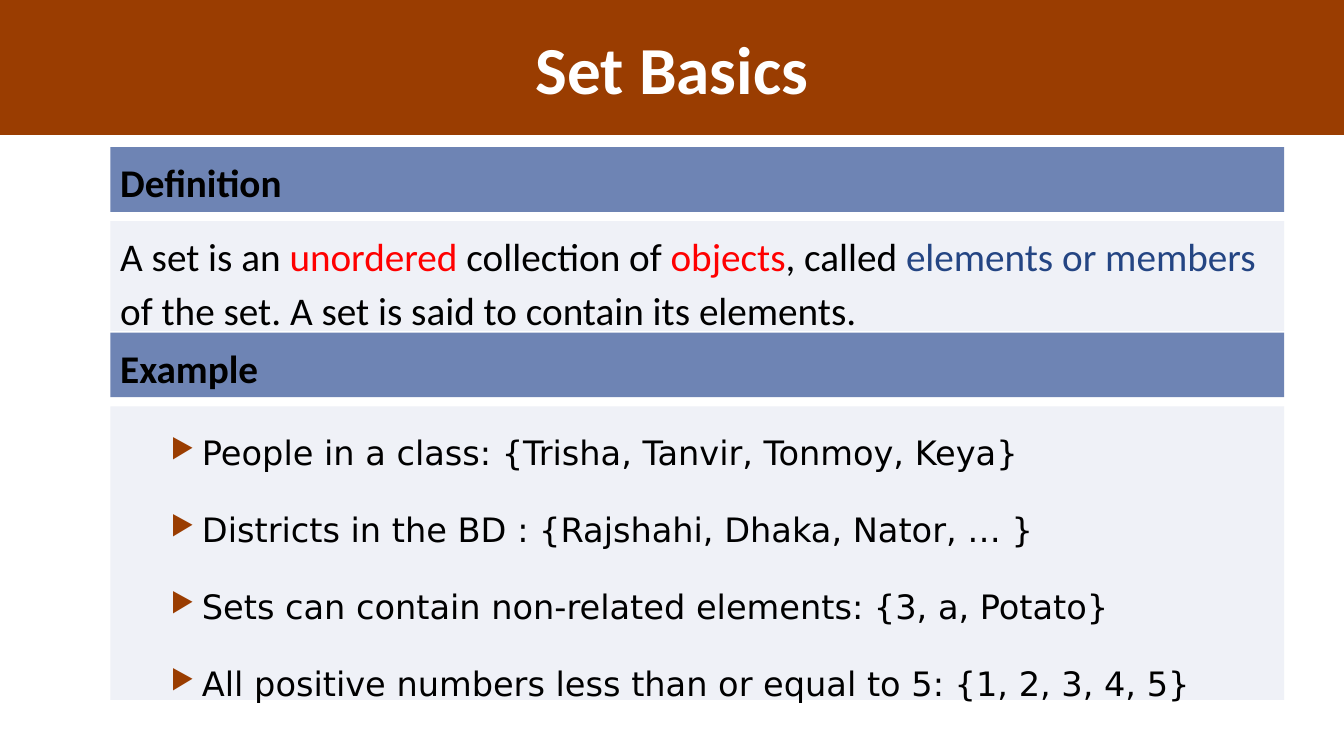
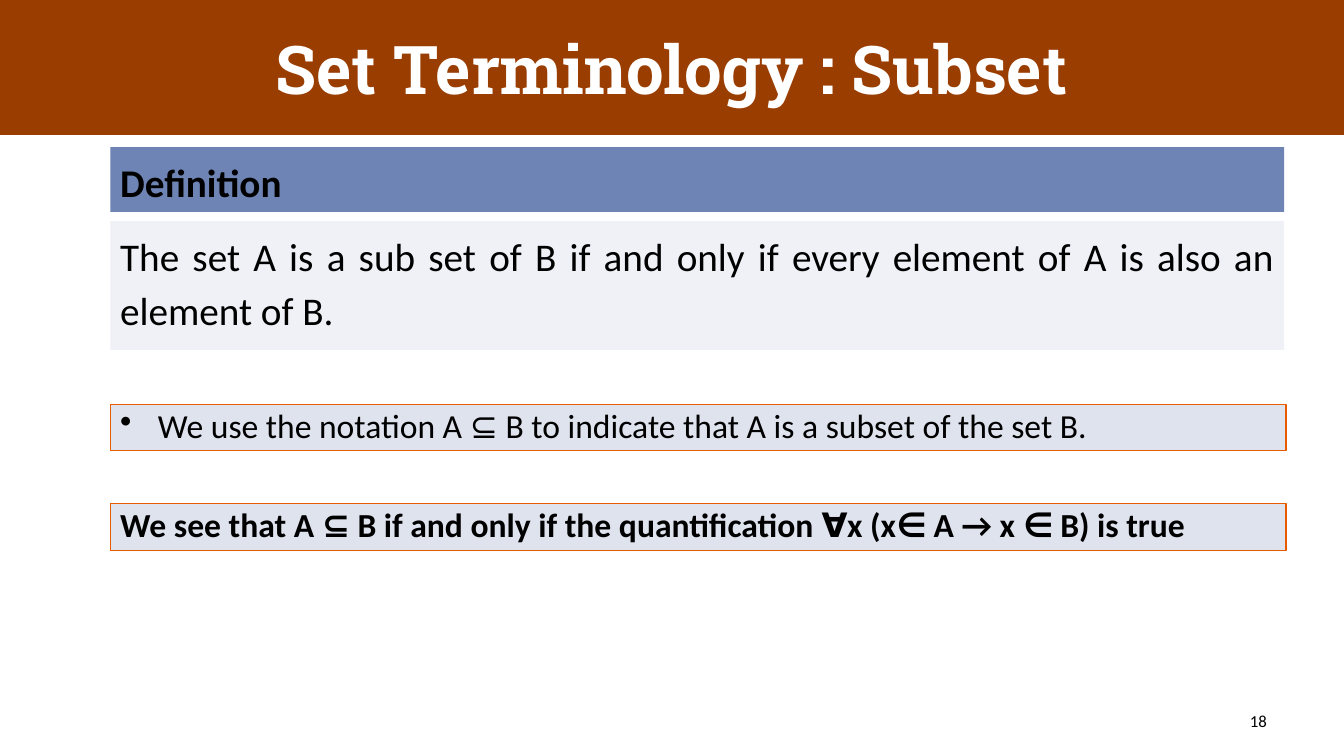
"""Build two slides on set basics and subsets."""
from lxml.etree import SubElement
from pptx import Presentation
from pptx.dml.color import RGBColor
from pptx.enum.shapes import MSO_SHAPE as Shape
from pptx.enum.text import MSO_ANCHOR as Anchor, PP_ALIGN as Align
from pptx.oxml.ns import qn
from pptx.util import Cm, Pt

RUST = RGBColor(0x9A, 0x3D, 0x01)
STEEL = RGBColor(0x6E, 0x84, 0xB4)
PALE = RGBColor(0xEF, 0xF1, 0xF7)
MIST = RGBColor(0xDF, 0xE3, 0xEE)
ORANGE = RGBColor(0xE7, 0x5C, 0x01)
WHITE = RGBColor(0xFF, 0xFF, 0xFF)
BLACK = RGBColor(0, 0, 0)
RED = RGBColor(0xFF, 0, 0)
NAVY = RGBColor(0x24, 0x45, 0x83)

WIDE, HIGH = 33.87, 19.05
LEFT, SPAN = 2.78, 29.58
HEAD, GAP = 1.63, 0.23
TOP = 3.71

MEANING = [
    ("A set is an ", None), ("unordered", RED), (" collection of ", None),
    ("objects", RED), (", called ", None), ("elements or members", NAVY),
    (" of the set. A set is said to contain its elements.", None),
]
SAMPLES = [
    "People in a class: {Trisha, Tanvir, Tonmoy, Keya}",
    "Districts in the BD : {Rajshahi, Dhaka, Nator, … }",
    "Sets can contain non-related elements: {3, a, Potato}",
    "All positive numbers less than or equal to 5: {1, 2, 3, 4, 5}",
]
SUBSET = ("The set A is a sub set of B if and only if every element of A "
          "is also an element of B.")
NOTES = [
    (10.19, "We use the notation A ⊆ B to indicate that A is a subset of the set B.", True),
    (12.7, "We see that A ⊆ B if and only if the quantification ∀x (x∈ A → x ∈ B) is true", False),
]


def add_box(slide, left, top, width, height, fill, line=None):
    """Add a plain rectangle and return its text frame."""
    box = slide.shapes.add_shape(
        Shape.RECTANGLE, Cm(left), Cm(top), Cm(width), Cm(height))
    box.shadow.inherit = False
    box.fill.solid()
    box.fill.fore_color.rgb = fill
    if line is None:
        box.line.fill.background()
    else:
        box.line.color.rgb = line
        box.line.width = Pt(0.75)
    frame = box.text_frame
    frame.word_wrap = True
    frame.vertical_anchor = Anchor.TOP
    return frame


def set_font(para, size, color=BLACK, bold=False, name="Calibri"):
    """Set the font of a whole paragraph."""
    font = para.font
    font.name, font.size, font.bold = name, Pt(size), bold
    font.color.rgb = color


def write(frame, text, size, align=Align.LEFT, space=1.0, **style):
    """Write the first paragraph of a frame."""
    para = frame.paragraphs[0]
    para.text = text
    para.alignment = align
    para.line_spacing = space
    set_font(para, size, **style)
    return para


def add_mark(para, char, indent, color=BLACK, scale=100):
    """Give a paragraph a hanging bullet."""
    props = para._p.get_or_add_pPr()
    props.set("marL", str(Cm(indent[0])))
    props.set("indent", str(-Cm(indent[1])))
    tint = SubElement(props, qn("a:buClr"))
    SubElement(tint, qn("a:srgbClr"), val=str(color))
    SubElement(props, qn("a:buSzPct"), val=str(scale * 1000))
    SubElement(props, qn("a:buChar"), char=char)


def add_page(deck, title, name="Calibri"):
    """Add a blank slide with its title band."""
    slide = deck.slides.add_slide(deck.slide_layouts[6])
    band = add_box(slide, 0, 0, WIDE, 3.4, RUST)
    band.vertical_anchor = Anchor.MIDDLE
    write(band, title, 48, Align.CENTER, color=WHITE, bold=True, name=name)
    return slide


def add_panel(slide, title, top, height):
    """Add a heading bar over a pale panel and return the panel frame."""
    bar = add_box(slide, LEFT, top, SPAN, HEAD, STEEL)
    write(bar, title, 28, space=1.14, bold=True)
    return add_box(slide, LEFT, top + HEAD + GAP, SPAN, height, PALE)


def build_basics(deck):
    """Build the slide on set basics."""
    slide = add_page(deck, "Set Basics")
    para = write(add_panel(slide, "Definition", TOP, 2.77), "", 28, space=1.14)
    for text, color in MEANING:
        run = para.add_run()
        run.text = text
        if color is not None:
            run.font.color.rgb = color
    frame = add_panel(slide, "Example", 8.38, 7.4)
    for i, text in enumerate(SAMPLES):
        para = frame.add_paragraph() if i else frame.paragraphs[0]
        para.text = text
        para.alignment = Align.LEFT
        add_mark(para, "▶", (2.06, 0.79), RUST, 80)
        para.line_spacing = 1.5
        para.space_before = Pt(6 if i else 0)
        para.space_after = Pt(6)
        set_font(para, 24, name="DejaVu Sans")


def build_subset(deck):
    """Build the slide on subsets."""
    slide = add_page(deck, "Set Terminology : Subset", "Roboto Slab")
    panel = add_panel(slide, "Definition", TOP, 3.25)
    write(panel, SUBSET, 28, Align.JUSTIFY, 1.14)
    for top, text, mark in NOTES:
        frame = add_box(slide, LEFT, top, SPAN + 0.05, 1.17, MIST, ORANGE)
        if mark:
            add_mark(frame.paragraphs[0], "•", (0.95, 0.95))
        write(frame, text, 24, space=0.9, bold=not mark)
    box = slide.shapes.add_textbox(Cm(24.28), Cm(17.65), Cm(7.9), Cm(1.02))
    box.text_frame.word_wrap = True
    box.text_frame.vertical_anchor = Anchor.MIDDLE
    write(box.text_frame, "18", 12, Align.RIGHT)


def main():
    """Build and save the deck."""
    deck = Presentation()
    deck.slide_width, deck.slide_height = Cm(WIDE), Cm(HIGH)
    build_basics(deck)
    build_subset(deck)
    deck.save("out.pptx")


if __name__ == "__main__":
    main()
